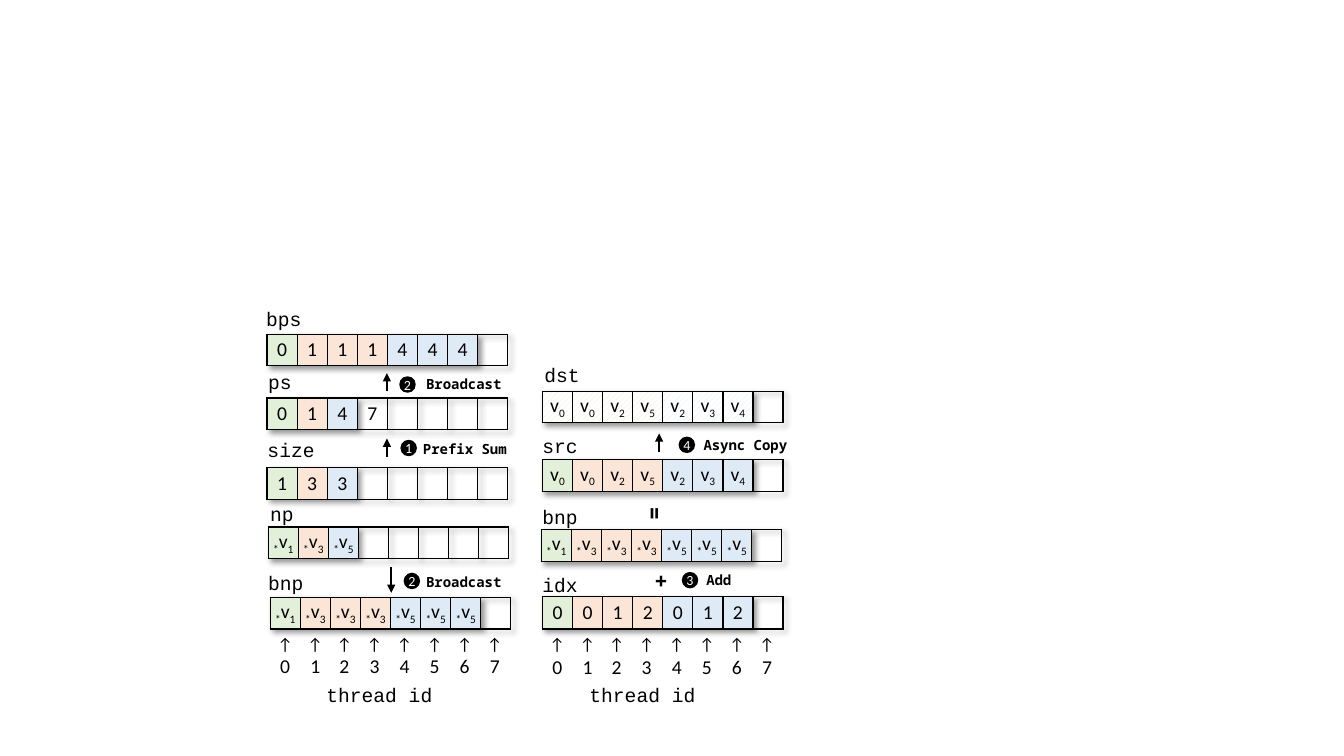
from dataclasses import dataclass

from lxml import etree
from pptx import Presentation
from pptx import util as u
from pptx.dml import color
from pptx.enum import dml, shapes, text
from pptx.oxml import ns


@dataclass(frozen=True)
class Theme:
    ink: str = "000000"
    paper: str = "FFFFFF"
    green: str = "E2F0D9"
    orange: str = "FBE5D6"
    blue: str = "DEEBF7"
    cell_font: str = "Calibri"
    label_font: str = "Courier New"
    step_font: str = "Noto Sans Mono"
    body_size: int = 14
    arrow_size: int = 12
    step_size: int = 10
    operator_size: int = 16
    border: float = 1
    arrow_width: float = 1.5
    table_style: str = "{2D5ABB26-0587-4C30-8999-92F81FD0307C}"


ALIGN = text.PP_ALIGN
LANES = 8
ARRAY_WIDTH = 6.07
LANE = ARRAY_WIDTH / LANES
BADGE = 0.38


def rgb(value):
    return color.RGBColor.from_string(value)


def add_xml(parent, tag, **attributes):
    return etree.SubElement(parent, ns.qn(tag), attributes)


class Diagram:
    def __init__(self, slide, theme):
        self.slide = slide
        self.theme = theme

    def style(self, paragraph, font, size, align=ALIGN.CENTER, ink=None, bold=False):
        paragraph.alignment = align
        paragraph.font.name = font
        paragraph.font.size = u.Pt(size)
        paragraph.font.bold = bold
        paragraph.font.color.rgb = rgb(ink or self.theme.ink)

    def table(self, left, top, widths, heights):
        frame = self.slide.shapes.add_table(
            len(heights), len(widths), u.Cm(left), u.Cm(top),
            u.Cm(sum(widths)), u.Cm(sum(heights)))
        table = frame.table
        table.first_row = table.horz_banding = False
        table._tbl.tblPr.find(ns.qn("a:tableStyleId")).text = self.theme.table_style
        for column, width in zip(table.columns, widths):
            column.width = u.Cm(width)
        for row, height in zip(table.rows, heights):
            row.height = u.Cm(height)
        for cell in table.iter_cells():
            cell.margin_left = cell.margin_right = cell.margin_top = cell.margin_bottom = 0
            cell.vertical_anchor = text.MSO_ANCHOR.MIDDLE
            cell.fill.background()
        return table

    def write_cell(self, cell, value, size):
        paragraph = cell.text_frame.paragraphs[0]
        self.style(paragraph, self.theme.cell_font, size)
        for part in value if "v" in value else [value]:
            run = paragraph.add_run()
            run.text = part
            if "v" in value and part != "v":
                run.font._element.set("baseline", "-25000")

    def outline(self, cell):
        properties = cell._tc.get_or_add_tcPr()
        for index, side in enumerate(("a:lnL", "a:lnR", "a:lnT", "a:lnB")):
            line = add_xml(properties, side, w=str(u.Pt(self.theme.border)))
            add_xml(add_xml(line, "a:solidFill"), "a:srgbClr", val=self.theme.ink)
            properties.insert(index, line)

    def shade_table(self, table):
        properties = table._tbl.tblPr
        effects = add_xml(properties, "a:effectLst")
        shadow = add_xml(effects, "a:outerShdw", blurRad="50800", dist="38100",
                         dir="2700000", algn="tl", rotWithShape="0")
        black = add_xml(shadow, "a:srgbClr", val=self.theme.ink)
        add_xml(black, "a:alpha", val="40000")
        properties.insert(0, effects)

    def array(self, left, top, height, values, tones, hatched=False):
        tone_colors = {"g": self.theme.green, "o": self.theme.orange, "b": self.theme.blue}
        table = self.table(left, top, [LANE] * LANES, [height])
        self.shade_table(table)
        for cell, value in zip(table.iter_cells(), values.split()):
            self.write_cell(cell, value, self.theme.body_size)
        for cell, tone in zip(table.iter_cells(), tones):
            if hatched:
                cell.fill.patterned()
                cell.fill.pattern = dml.MSO_PATTERN.WIDE_UPWARD_DIAGONAL
                cell.fill.back_color.rgb = rgb(self.theme.paper)
            else:
                cell.fill.solid()
            cell.fill.fore_color.rgb = rgb(tone_colors[tone])
        for cell in table.iter_cells():
            self.outline(cell)

    def thread_ids(self, left, top):
        table = self.table(left, top, [0.81, 0.71] + [LANE] * (LANES - 2), [0.52, 0.6])
        for lane in range(LANES):
            self.write_cell(table.cell(0, lane), "↑", self.theme.arrow_size)
            self.write_cell(table.cell(1, lane), str(lane), self.theme.body_size)

    def text_box(self, box, words, font, size, align, bold=False, direction=None):
        shape = self.slide.shapes.add_textbox(*map(u.Cm, box))
        frame = shape.text_frame
        frame.word_wrap = True
        frame.auto_size = text.MSO_AUTO_SIZE.SHAPE_TO_FIT_TEXT
        frame.text = words
        self.style(frame.paragraphs[0], font, size, align, bold=bold)
        if direction:
            frame._txBody.bodyPr.set("vert", direction)

    def label(self, left, top, width, words):
        self.text_box((left, top, width, 0.86), words, self.theme.label_font,
                      self.theme.body_size, ALIGN.RIGHT)

    def operator(self, box, sign, direction=None):
        self.text_box(box, sign, self.theme.step_font, self.theme.operator_size,
                      ALIGN.CENTER, True, direction)

    def step(self, number, badge, left, top, width, words):
        self.text_box((left, top, width, 0.69), words, self.theme.step_font,
                      self.theme.step_size, ALIGN.LEFT, True)
        shape = self.slide.shapes.add_shape(
            shapes.MSO_SHAPE.OVAL, *map(u.Cm, badge), u.Cm(BADGE), u.Cm(BADGE))
        shape.shadow.inherit = False
        shape.fill.solid()
        shape.fill.fore_color.rgb = shape.line.color.rgb = rgb(self.theme.ink)
        shape.line.width = u.Pt(self.theme.border)
        frame = shape.text_frame
        frame.margin_left = frame.margin_right = frame.margin_top = frame.margin_bottom = 0
        frame.word_wrap = False
        frame.vertical_anchor = text.MSO_ANCHOR.MIDDLE
        frame.text = number
        self.style(frame.paragraphs[0], self.theme.cell_font, self.theme.step_size,
                   ink=self.theme.paper)

    def arrow(self, x, start, end):
        connector = self.slide.shapes.add_connector(
            shapes.MSO_CONNECTOR.STRAIGHT, u.Cm(x), u.Cm(start), u.Cm(x), u.Cm(end))
        connector.line.color.rgb = rgb(self.theme.ink)
        connector.line.width = u.Pt(self.theme.arrow_width)
        add_xml(connector.line._get_or_add_ln(), "a:tailEnd", type="triangle")
        add_xml(connector._element.spPr, "a:effectLst")


def main():
    presentation = Presentation()
    presentation.slide_width, presentation.slide_height = u.Cm(33.87), u.Cm(19.05)
    slide = presentation.slides.add_slide(presentation.slide_layouts[6])
    diagram = Diagram(slide, Theme())

    pointers = "*v1 *v3 *v3 *v3 *v5 *v5 *v5"
    vertices = "v0 v0 v2 v5 v2 v3 v4"
    short, full = "gob", "gooobbb"
    for array in (
        (6.73, 8.43, 0.79, "0 1 1 1 4 4 4", full),
        (6.73, 10.03, 0.79, "0 1 4 7", short),
        (6.73, 11.79, 0.79, "1 3 3", short),
        (6.76, 13.28, 0.79, "*v1 *v3 *v5", short),
        (6.81, 15.06, 0.79, pointers, full),
        (13.67, 9.86, 0.79, vertices, full, True),
        (13.67, 11.58, 0.81, vertices, full),
        (13.64, 13.34, 0.81, pointers, full),
        (13.67, 15.04, 0.81, "0 0 1 2 0 1 2", full),
    ):
        diagram.array(*array)

    for label in (
        (6.07, 7.62, 1.78, "bps"), (5.82, 9.19, 1.78, "ps"),
        (5.97, 10.92, 2.21, "size"), (6.3, 12.52, 1.35, "np"),
        (6.12, 14.25, 1.78, "bnp"), (13.06, 9.02, 1.8, "dst"),
        (12.88, 10.82, 1.93, "src"), (13.03, 12.6, 1.78, "bnp"),
        (13.03, 14.3, 1.78, "idx"),
        (7.67, 17.09, 3.48, "thread id"), (14.3, 17.09, 3.48, "thread id"),
    ):
        diagram.label(*label)

    diagram.thread_ids(6.78, 15.98)
    diagram.thread_ids(13.64, 16)
    diagram.operator((14.3, 14.17, 4.72, 0.94), "+")
    diagram.operator((16, 12.37, 1.19, 1.14), "=", "vert270")

    for step in (
        ("1", (10.11, 11.1), 10.41, 10.97, 3.25, "Prefix Sum"),
        ("2", (10.08, 9.5), 10.49, 9.35, 2.72, "Broadcast"),
        ("2", (10.19, 14.45), 10.49, 14.33, 2.72, "Broadcast"),
        ("3", (17.2, 14.43), 17.55, 14.27, 1.52, "Add"),
        ("4", (17.12, 11.02), 17.48, 10.87, 2.72, "Async Copy"),
    ):
        diagram.step(*step)

    for arrow in ((9.75, 11.51, 11.05), (9.75, 9.86, 9.4),
                  (16.61, 11.38, 10.92), (9.86, 14.3, 14.94)):
        diagram.arrow(*arrow)

    presentation.save("out.pptx")


if __name__ == "__main__":
    main()
